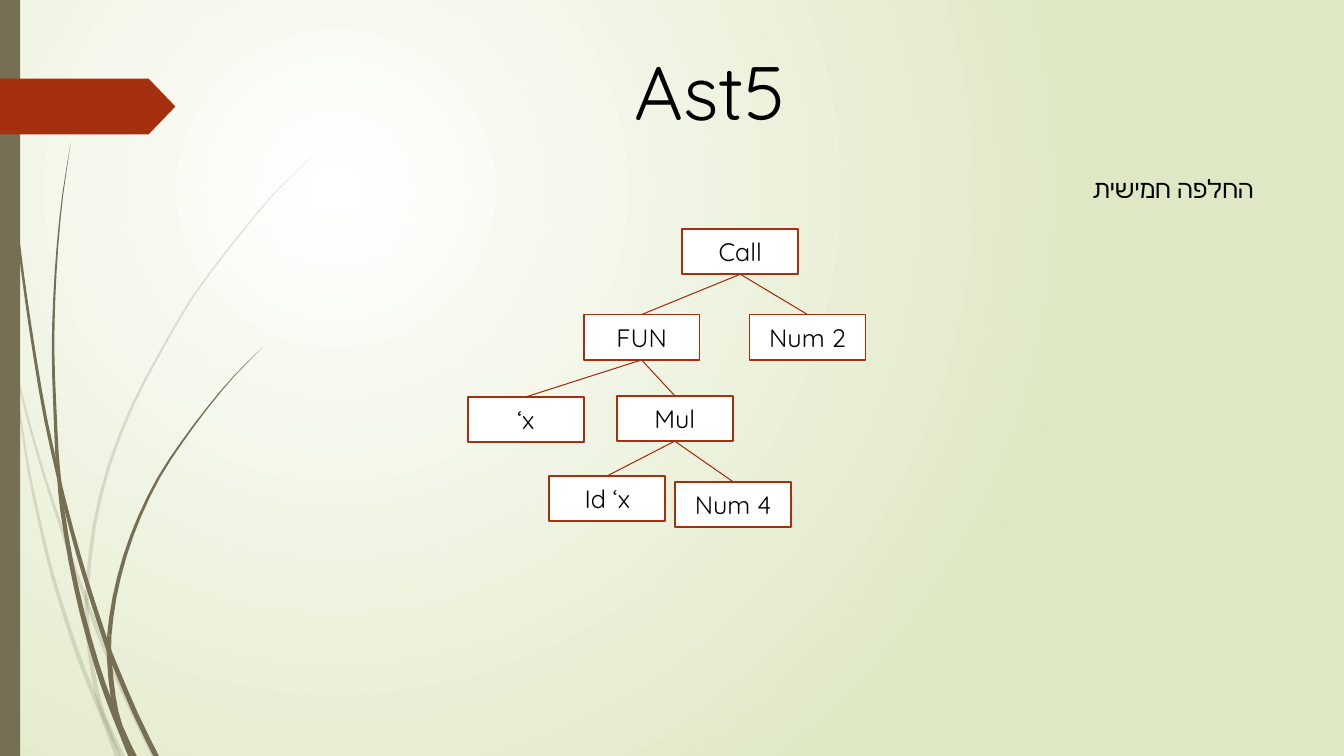
from lxml.etree import SubElement
from pptx import Presentation
from pptx.dml.color import RGBColor
from pptx.enum.shapes import MSO_CONNECTOR, MSO_SHAPE
from pptx.enum.text import MSO_ANCHOR, MSO_AUTO_SIZE, PP_ALIGN
from pptx.oxml.ns import qn
from pptx.util import Pt

WIDE, HIGH = 960, 540
FONT = "Quicksand"
HUES = {"olive": "766F54", "rust": "A53010", "edge": "9E2E0F",
        "white": "FFFFFF", "lime": "DFE8C4", "black": "000000"}

# Width at the root, dots where the blade is cut, left edge from the tip down.
PALE = [
    (3.5, (2, 9), [(0, 206), (3.5, 232), (8, 252), (12, 271), (21, 306), (31, 341),
                   (42, 375), (51, 403), (60, 428), (63.5, 438), (75, 468), (88.5, 499),
                   (108, 540)]),
    (4, (9,), [(8, 252), (10, 271), (14.5, 302), (20, 338), (27.5, 374), (36, 410),
               (47, 446), (55, 470), (63.5, 492), (72.5, 514), (82, 540)]),
    (3.6, (9, 13), [(224.5, 110), (208, 126), (192, 142), (164, 176), (137, 212),
                    (114, 251), (93.5, 290), (77, 332), (66, 376), (61, 420), (60.5, 438),
                    (62.5, 465), (67, 492), (72.5, 512), (85.5, 540)]),
]
DARK = [
    (4, (8, 13), [(2, 0), (3, 35), (5, 79), (8, 124), (12, 168), (17.5, 212), (24, 256),
                  (31.5, 300), (41, 343), (46, 364), (54.5, 396), (63.5, 426), (72.5, 454),
                  (79, 472), (94.5, 509), (109.5, 540)]),
    (4.5, (7, 13), [(50.5, 102), (44.5, 139), (40.5, 176), (38, 214), (37, 251), (38, 288),
                    (39.5, 324), (41, 343), (43, 364), (49, 401), (57, 438), (67, 474),
                    (75, 498), (83.5, 520), (91.5, 540)]),
    (4.2, (8, 11), [(187.5, 248), (166.5, 269), (147, 292), (129, 316), (112.5, 341),
                    (98.5, 369), (88, 397), (80.5, 426), (76.5, 454), (76.5, 472),
                    (79, 498), (83.5, 518), (93.5, 540)]),
]

# Label, left, top, parent
NODES = [
    ("Call", 487.4, 163.5, None),
    ("FUN", 416.9, 224.7, "Call"),
    ("Num 2", 535.4, 224.7, "Call"),
    ("‘x", 334.2, 283.5, "FUN"),
    ("Mul", 440.6, 282.7, "FUN"),
    ("Id ‘x", 392.4, 339.9, "Mul"),
    ("Num 4", 482.2, 344.1, "Mul"),
]


def tint(name):
    return RGBColor.from_string(HUES[name])


def paint(shape, fill, line=None):
    shape.shadow.inherit = False
    shape.fill.solid()
    shape.fill.fore_color.rgb = tint(fill)
    if line:
        shape.line.color.rgb = tint(line)
        shape.line.width = Pt(1.25)
    else:
        shape.line.fill.background()


def write(shape, text, size, align, **form):
    frame = shape.text_frame
    for name, value in form.items():
        setattr(frame, name, value)
    para = frame.paragraphs[0]
    para.alignment = align
    run = para.add_run()
    run.text = text
    for name, value in {"size": Pt(size), "name": FONT}.items():
        setattr(run.font, name, value)
    run.font.color.rgb = tint("black")
    return para


def wash(slide):
    """Lay the round gradient behind the slide."""
    fill = slide.background.fill
    fill.gradient()
    for stop, name in zip(fill.gradient_stops, ("white", "lime")):
        stop.color.rgb = tint(name)
    grad = slide.element.find(".//" + qn("a:gradFill"))
    grad.remove(grad.find(qn("a:lin")))
    ring = SubElement(grad, qn("a:path"), {"path": "circle"})
    SubElement(ring, qn("a:fillToRect"),
               {"l": "50000", "t": "50000", "r": "100000", "b": "100000"})


def smooth(dots):
    """Add the Catmull-Rom midpoint between each two dots."""
    ends = [dots[0], *dots, dots[-1]]
    curve = []
    for a, b, c, d in zip(ends, ends[1:], ends[2:], ends[3:]):
        mid = tuple((9 * (q + r) - p - s) / 16 for p, q, r, s in zip(a, b, c, d))
        curve += [b, mid]
    return curve + [dots[-1]]


def draw_piece(slide, left, right, alpha):
    rim = [(Pt(x), Pt(y)) for x, y in left + right[::-1]]
    form = slide.shapes.build_freeform(*rim[0])
    form.add_line_segments(rim[1:])
    piece = form.convert_to_shape()
    paint(piece, "olive")
    if alpha < 100:
        hue = piece.element.spPr.find(qn("a:solidFill")).find(qn("a:srgbClr"))
        SubElement(hue, qn("a:alpha"), {"val": str(alpha * 1000)})


def draw_blade(slide, width, cuts, dots, alpha):
    left = smooth(dots)
    last = len(left) - 1
    right = [(x + width * (i / last) ** 0.7, y) for i, (x, y) in enumerate(left)]
    stops = [0, *(2 * cut for cut in cuts), last]
    for start, end in zip(stops, stops[1:]):
        draw_piece(slide, left[start:end + 1], right[start:end + 1], alpha)


def draw_side(slide, left, top, high):
    for blades, alpha in ((PALE, 20), (DARK, 100)):
        for width, cuts, dots in blades:
            draw_blade(slide, width, cuts, [(left + x, top + y) for x, y in dots], alpha)
    bar = slide.shapes.add_shape(MSO_SHAPE.RECTANGLE, Pt(left), Pt(top), Pt(14.4), Pt(high))
    paint(bar, "olive")
    flag = slide.shapes.add_shape(MSO_SHAPE.PENTAGON, Pt(left), Pt(top + 56.2),
                                  Pt(125.3), Pt(39.8))
    flag.adjustments[0] = 0.48
    paint(flag, "rust")


def draw_tree(slide, left, top, wide=82.8, high=32.4):
    boxes = {}
    for label, x, y, parent in NODES:
        box = slide.shapes.add_shape(MSO_SHAPE.RECTANGLE, Pt(left + x), Pt(top + y),
                                     Pt(wide), Pt(high))
        paint(box, "white", "rust")
        write(box, label, 18, PP_ALIGN.CENTER, vertical_anchor=MSO_ANCHOR.MIDDLE)
        boxes[label] = box
        if parent:
            link = slide.shapes.add_connector(MSO_CONNECTOR.STRAIGHT, 0, 0, 0, 0)
            link.begin_connect(boxes[parent], 2)
            link.end_connect(box, 0)
            link.line.color.rgb = tint("edge")
            link.line.width = Pt(0.75)
            SubElement(link.element.spPr, qn("a:effectLst"))


def draw_heads(slide, left, top):
    title = slide.shapes.title
    spot = {"left": left + 444.8, "top": top + 28.4, "width": 124.5, "height": 72.7}
    for name, value in spot.items():
        setattr(title, name, Pt(value))
    write(title, "Ast5", 54, PP_ALIGN.CENTER, word_wrap=False,
          auto_size=MSO_AUTO_SIZE.NONE, vertical_anchor=MSO_ANCHOR.TOP)
    note = slide.shapes.add_textbox(Pt(left + 762.8), Pt(top + 120), Pt(139.8), Pt(29))
    para = write(note, "החלפה חמישית", 18, PP_ALIGN.RIGHT, word_wrap=True)
    para._p.get_or_add_pPr().set("rtl", "1")


def main():
    deck = Presentation()
    deck.slide_width, deck.slide_height = Pt(WIDE), Pt(HIGH)
    slide = deck.slides.add_slide(deck.slide_layouts[5])
    wash(slide)
    draw_side(slide, 0, 0, HIGH)
    draw_tree(slide, 0, 0)
    draw_heads(slide, 0, 0)
    deck.save("out.pptx")


if __name__ == "__main__":
    main()
